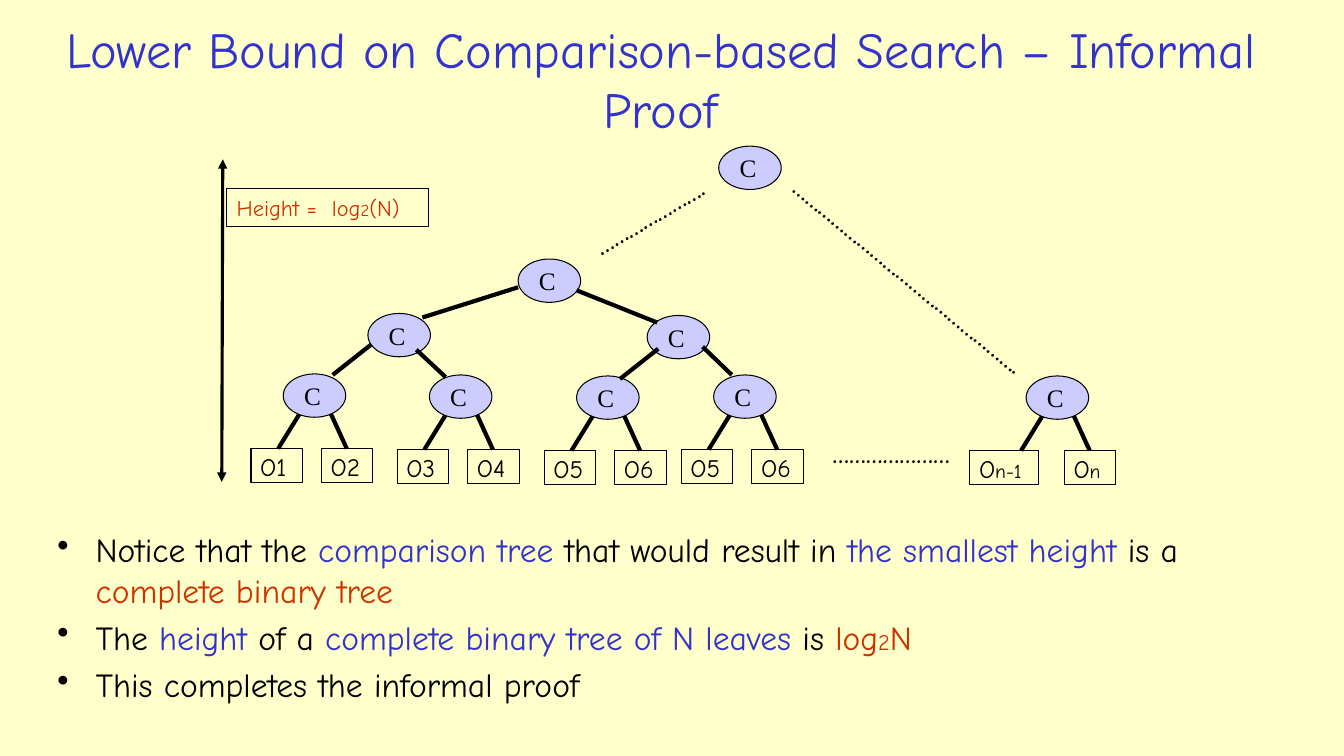
"""Build a slide on the lower bound of comparison-based search."""
from typing import NamedTuple

from lxml.etree import SubElement
from pptx import Presentation
from pptx.dml.color import RGBColor
from pptx.enum.shapes import MSO_CONNECTOR, MSO_SHAPE
from pptx.enum.text import MSO_ANCHOR, PP_ALIGN
from pptx.oxml.ns import qn
from pptx.util import Inches, Pt

CREAM = RGBColor(0xFF, 0xFF, 0xCC)
LILAC = RGBColor(0xCC, 0xCC, 0xFF)
BLUE = RGBColor(0x33, 0x33, 0xCC)
RED = RGBColor(0xCC, 0x33, 0x00)
BLACK = RGBColor(0x00, 0x00, 0x00)
HAND = "Comic Neue"
SERIF = "Times New Roman"
CELL = Inches(0.1)
COLS, ROWS = 133.33, 75


class Run(NamedTuple):
    """A piece of text in one size and colour."""
    text: str
    size: float = 18
    color: RGBColor = BLACK


class Box(NamedTuple):
    """A rectangle in grid columns and rows."""
    x: float
    y: float
    w: float
    h: float


class Edge(NamedTuple):
    """A straight line between two grid points."""
    x1: float
    y1: float
    x2: float
    y2: float


class Subtree(NamedTuple):
    """A comparison with two outcomes, placed by its first leaf."""
    x: float
    y: float
    left: list[Run]
    right: list[Run]
    widen: float = 0


class Dots(NamedTuple):
    """A dotted run that stands for omitted parts of the tree."""
    box: Box
    text: str
    angle: float = 0


NODE_W, NODE_H = 6.2, 4.3
LEAF_W, LEAF_H, LEAF_STEP = 5.1, 3.4, 7

SUBTREES = [
    Subtree(24.9, 44.5, [Run("O1")], [Run("O2")]),
    Subtree(39.4, 44.6, [Run("O3")], [Run("O4")]),
    Subtree(54, 44.7, [Run("O5")], [Run("O6")]),
    Subtree(67.6, 44.6, [Run("O5")], [Run("O6")]),
    Subtree(98.6, 44.7, [Run("O"), Run("n-1", 14)], [Run("O"), Run("n", 14)], 1.7),
]
UPPER_NODES = [(36.5, 31.1), (64.2, 31.3), (51.4, 25.7), (71.3, 14.5)]
UPPER_EDGES = [
    Edge(33, 37.2, 36.8, 34.2),
    Edge(44.2, 37.4, 41.3, 34.7),
    Edge(61.5, 37.6, 65.3, 34.6),
    Edge(72.6, 37.2, 69.7, 34.4),
    Edge(41.9, 31.5, 51.4, 28.5),
    Edge(65.2, 32, 57.2, 28.8),
]
DOTS = [
    Dots(Box(81.5, 43, 13.8, 4), "…………………"),
    Dots(Box(70.9, 25.4, 38.6, 4), "…………………………………………….", 39.6),
    Dots(Box(53.9, 19.5, 20.9, 4), "………………….", 329.6),
]
TITLE = [Run("Lower Bound on Comparison-based Search – Informal Proof", 36, BLUE)]
HEIGHT = [Run("Height =  log", 16, RED), Run("2", 12, RED), Run("(N)", 16, RED)]
POINTS = [
    [Run("Notice that the ", 24), Run("comparison tree", 24, BLUE),
     Run(" that would result in", 24), Run(" the smallest height", 24, BLUE),
     Run(" is a ", 24), Run("complete binary tree", 24, RED)],
    [Run("The ", 24), Run("height", 24, BLUE), Run(" of a ", 24),
     Run("complete binary tree of N leaves", 24, BLUE), Run(" is ", 24),
     Run("log", 24, RED), Run("2", 16, RED), Run("N", 24, RED)],
    [Run("This completes the informal proof", 24)],
]


def grid(n: float) -> int:
    """Turn a count of grid cells into a length."""
    return round(n * CELL)


def write(sp, paragraphs: list[list[Run]], *, font=HAND, bold=False, align=PP_ALIGN.LEFT,
          anchor=MSO_ANCHOR.MIDDLE, wrap=True, inset=(1, 0.5, 1, 0.5), bullet=False) -> None:
    """Fill a shape with formatted paragraphs."""
    tf = sp.text_frame
    tf.word_wrap = wrap
    tf.vertical_anchor = anchor
    tf.margin_left, tf.margin_top, tf.margin_right, tf.margin_bottom = map(grid, inset)
    for i, runs in enumerate(paragraphs):
        p = tf.add_paragraph() if i else tf.paragraphs[0]
        p.alignment = align
        if bullet:
            p.space_before = Pt(5)
            pPr = p._p.get_or_add_pPr()
            pPr.set("marL", str(grid(3.8)))
            pPr.set("indent", str(grid(-3.8)))
            SubElement(pPr, qn("a:buChar")).set("char", "•")
        for run in runs:
            r = p.add_run()
            r.text = run.text
            r.font.name, r.font.size, r.font.bold = font, Pt(run.size), bold
            r.font.color.rgb = run.color


def add_text(slide, box: Box, paragraphs: list[list[Run]], *, angle=0.0, **fmt) -> None:
    """Add a text box."""
    sp = slide.shapes.add_textbox(*map(grid, box))
    sp.rotation = angle
    write(sp, paragraphs, **fmt)


def add_outline(slide, kind: MSO_SHAPE, box: Box, runs: list[Run], *, fill=None, **fmt) -> None:
    """Add a thinly outlined shape with text."""
    sp = slide.shapes.add_shape(kind, *map(grid, box))
    sp.shadow.inherit = False
    if fill is None:
        sp.fill.background()
    else:
        sp.fill.solid()
        sp.fill.fore_color.rgb = fill
    sp.line.color.rgb = BLACK
    sp.line.width = Pt(0.75)
    write(sp, [runs], **fmt)


def add_edge(slide, edge: Edge, *, width=3.0, arrows=False) -> None:
    """Add a line, with arrowheads at both ends if asked."""
    cx = slide.shapes.add_connector(MSO_CONNECTOR.STRAIGHT, *map(grid, edge))
    cx.line.color.rgb = BLACK
    cx.line.width = Pt(width)
    if arrows:
        for end in ("a:headEnd", "a:tailEnd"):
            SubElement(cx.line._get_or_add_ln(), qn(end)).set("type", "triangle")
    SubElement(cx._element.spPr, qn("a:effectLst"))


def add_node(slide, x: float, y: float) -> None:
    """Add a comparison node."""
    add_outline(slide, MSO_SHAPE.OVAL, Box(x, y, NODE_W, NODE_H), [Run("C")], fill=LILAC,
                font=SERIF, align=PP_ALIGN.CENTER, inset=(0, 0, 0.4, 0))


def add_subtree(slide, t: Subtree) -> None:
    """Add two leaves, their edges and their parent."""
    left = Box(t.x - 1.4 * t.widen, t.y, LEAF_W + t.widen, LEAF_H)
    right = Box(t.x + LEAF_STEP, t.y, LEAF_W, LEAF_H)
    for box, runs in ((left, t.left), (right, t.right)):
        add_outline(slide, MSO_SHAPE.RECTANGLE, box, runs, inset=(0.9, 0.2, 0, 0))
    add_edge(slide, Edge(t.x + 2.7, t.y, t.x + 5.1, t.y - 3.9))
    add_edge(slide, Edge(t.x + 9.5, t.y, t.x + 7.9, t.y - 3.5))
    add_node(slide, t.x + 3.2, t.y - 7.4)


def main() -> None:
    """Draw the slide and save it."""
    prs = Presentation()
    prs.slide_width, prs.slide_height = grid(COLS), grid(ROWS)
    slide = prs.slides.add_slide(prs.slide_layouts[6])
    slide.background.fill.solid()
    slide.background.fill.fore_color.rgb = CREAM
    add_text(slide, Box(3.6, 1.6, 123.9, 12.4), [TITLE], align=PP_ALIGN.CENTER)
    for subtree in SUBTREES:
        add_subtree(slide, subtree)
    for x, y in UPPER_NODES:
        add_node(slide, x, y)
    for edge in UPPER_EDGES:
        add_edge(slide, edge)
    for dots in DOTS:
        add_text(slide, dots.box, [[Run(dots.text)]], angle=dots.angle, bold=True,
                 align=PP_ALIGN.CENTER, wrap=False)
    add_edge(slide, Edge(22.1, 15.8, 22, 47.8), width=2.25, arrows=True)
    add_outline(slide, MSO_SHAPE.RECTANGLE, Box(22.5, 18.7, 20, 3.8), HEIGHT)
    add_text(slide, Box(4.7, 52, 126.3, 19.9), POINTS, anchor=MSO_ANCHOR.TOP, bullet=True)
    prs.save("out.pptx")


if __name__ == "__main__":
    main()
